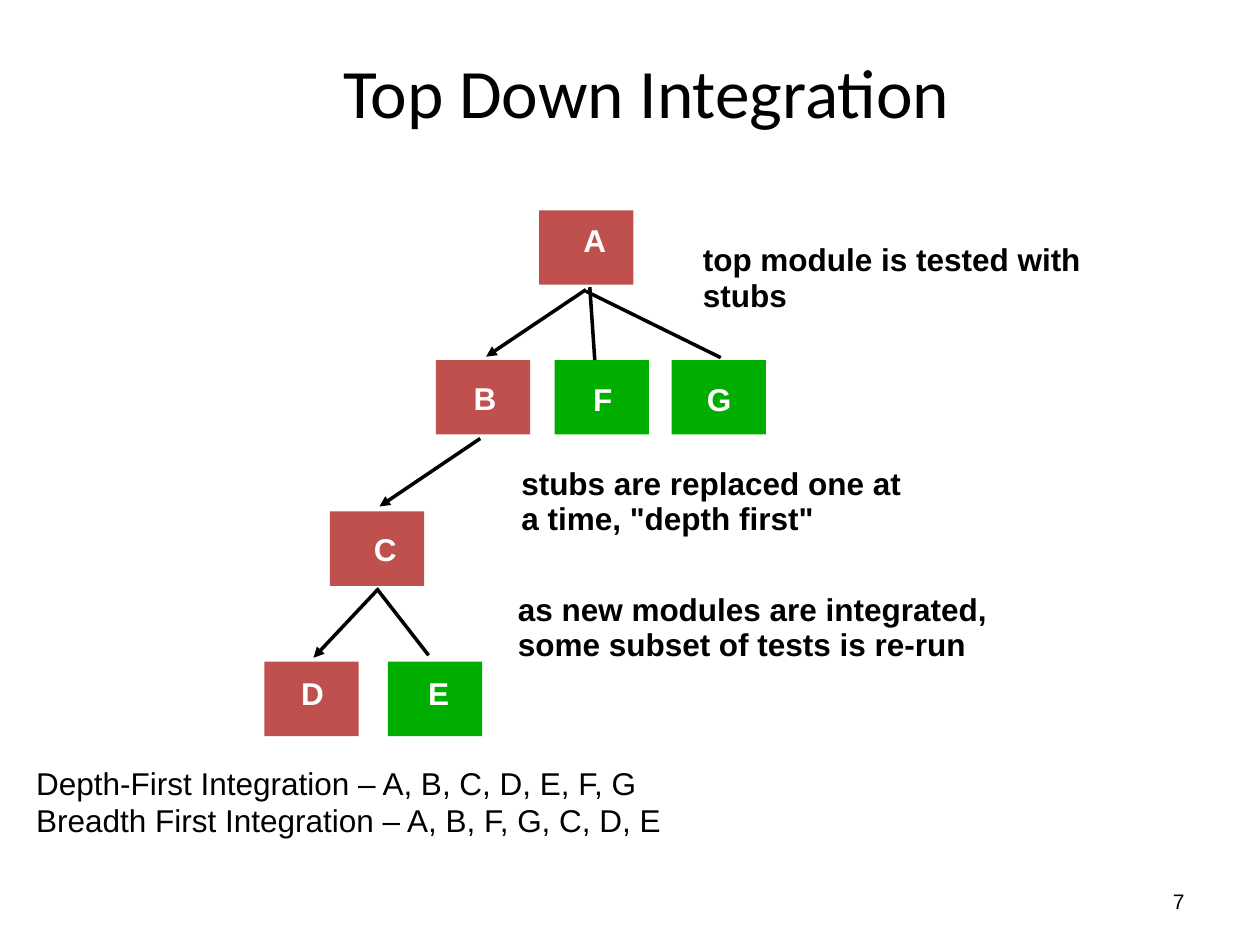
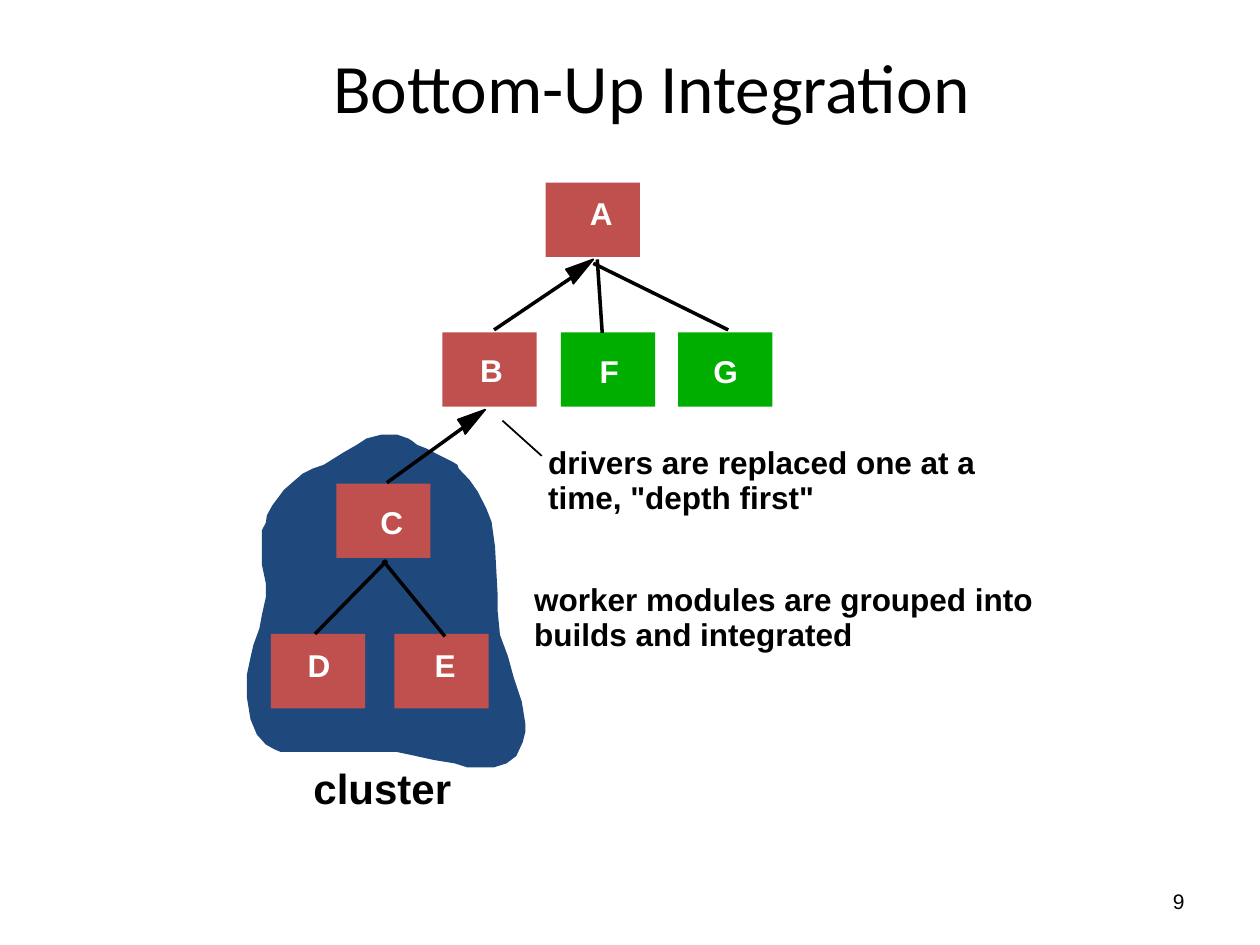
from lxml import etree
from pptx import Presentation
from pptx.dml.color import RGBColor
from pptx.enum.shapes import MSO_CONNECTOR, MSO_SHAPE
from pptx.enum.text import MSO_ANCHOR, PP_ALIGN
from pptx.oxml.ns import qn
from pptx.util import Cm, Pt

BLACK = RGBColor(0x00, 0x00, 0x00)
WHITE = RGBColor(0xFF, 0xFF, 0xFF)
RED = RGBColor(0xC0, 0x50, 0x4D)
GREEN = RGBColor(0x00, 0xAE, 0x00)
NAVY = RGBColor(0x1F, 0x49, 0x7D)

# Text formats
TITLE = {"name": "Calibri", "size": Pt(39.6), "bold": False}
PLAIN = {"name": "Arial", "size": Pt(18), "bold": False}
NOTE = {**PLAIN, "bold": True}
CAPTION = {**NOTE, "size": Pt(24)}
NUMBER = {**PLAIN, "size": Pt(12)}

# Module tree: left and top of the box, left and top of its letter
MODULES = {
    "A": (10.87, 4.24, 11.51, 4.34),
    "B": (8.79, 7.26, 9.3, 7.52),
    "C": (6.65, 10.31, 7.29, 10.57),
    "D": (5.33, 13.34, 5.82, 13.46),
    "E": (7.82, 13.34, 8.38, 13.46),
    "F": (11.18, 7.26, 11.71, 7.54),
    "G": (13.54, 7.26, 14.0, 7.54),
}
MODULE_WIDTH, MODULE_HEIGHT = 1.9, 1.5
NOTE_PITCH = 0.71

# Outline of the cluster around C, D and E
CLUSTER = [
    (9.22, 9.37), (9.14, 9.32), (8.84, 9.17), (8.59, 9.04), (8.41, 8.97),
    (8.31, 8.89), (8.23, 8.84), (8.0, 8.76), (7.7, 8.76), (7.39, 8.84),
    (7.19, 8.97), (6.93, 9.12), (6.53, 9.37), (6.3, 9.45), (6.1, 9.55),
    (5.89, 9.73), (5.72, 9.88), (5.61, 10.03), (5.49, 10.19), (5.38, 10.39),
    (5.36, 10.54), (5.28, 10.69), (5.28, 11.38), (5.36, 11.76), (5.36, 12.04),
    (5.28, 12.4), (5.23, 12.67), (5.11, 13.0), (5.05, 13.26), (4.98, 13.59),
    (4.98, 14.07), (5.05, 14.5), (5.18, 14.81), (5.36, 15.01), (5.54, 15.11),
    (5.66, 15.16), (8.0, 15.16), (8.38, 15.24), (8.74, 15.32), (9.17, 15.39),
    (9.42, 15.47), (9.96, 15.47), (10.21, 15.39), (10.41, 15.24), (10.54, 14.96),
    (10.59, 14.76), (10.59, 14.58), (10.52, 14.15), (10.36, 13.67), (10.24, 13.23),
    (10.08, 12.8), (10.03, 12.29), (10.03, 11.94), (9.98, 11.02), (9.91, 10.52),
    (9.8, 10.24), (9.63, 9.91), (9.47, 9.68), (9.25, 9.45),
]
# Large arrowheads, measured from the tip
HEAD = [(0, 0), (-0.4, 0.49), (-0.46, 0.33), (-0.55, 0.2)]
HEAD_TIPS = [(11.96, 5.23), (9.78, 8.26)]
HEADS = [[(tip_x + x, tip_y + y) for x, y in HEAD] for tip_x, tip_y in HEAD_TIPS]

# What differs between the two slides
SLIDES = [
    {
        "number": "7",
        "title": ("Top Down Integration", (3.99, 1.42, 18.08, 0.84)),
        "shift": (0, 0),
        "green": "EFG",
        "outlines": [],
        "lines": [  # start, end, width, arrow at the end
            ((7.59, 11.86), (8.64, 13.21), 2, False),
            ((11.89, 5.79), (11.99, 7.26), 2, False),
            ((11.81, 5.87), (14.53, 7.21), 2, False),
            ((11.81, 5.84), (9.8, 7.19), 2, True),
            ((9.68, 8.84), (7.65, 10.21), 2, True),
            ((7.59, 11.91), (6.32, 13.26), 2, True),
        ],
        "notes": [  # left, top, lines with their widths
            (13.92, 4.72, [("top module is tested with", 8.38), ("stubs", 2.21)]),
            (10.26, 9.22, [("stubs are replaced one at", 8.41),
                           ('a time, "depth first"', 6.45)]),
            (10.19, 11.76, [("as new modules are integrated,", 10.24),
                            ("some subset of tests is re-run", 9.63)]),
        ],
        "footer": (["Depth-First Integration – A, B, C, D, E, F, G",
                    "Breadth First Integration – A, B, F, G, C, D, E"],
                   (0.48, 15.27, 13.23, 1.8), PLAIN),
    },
    {
        "number": "9",
        "title": ("Bottom-Up Integration", (3.56, 1.32, 19.15, 0.84)),
        "shift": (0.13, -0.56),
        "green": "FG",
        "outlines": [(CLUSTER, NAVY)] + [(head, BLACK) for head in HEADS],
        "lines": [
            ((11.53, 5.59), (9.96, 6.65), 2, False),
            ((9.35, 8.61), (7.8, 9.73), 2, False),
            ((7.8, 11.3), (6.35, 12.78), 2, False),
            ((7.72, 11.3), (8.97, 12.83), 2, False),
            ((12.04, 5.23), (12.14, 6.71), 2, False),
            ((11.96, 5.31), (14.68, 6.65), 2, False),
            ((10.13, 8.48), (10.92, 9.19), 1, False),
        ],
        "notes": [
            (10.8, 8.81, [("drivers are replaced one at a", 9.37),
                          ('time, "depth first"', 5.92)]),
            (10.52, 11.56, [("worker modules are grouped into", 10.85),
                            ("builds and integrated", 6.99)]),
        ],
        "footer": (["cluster"], (6.07, 15.24, 3.3, 1.27), CAPTION),
    },
]


def write(page, lines, place, style, color=BLACK,
          align=PP_ALIGN.LEFT, anchor=MSO_ANCHOR.TOP):
    box = page.shapes.add_textbox(*[Cm(length) for length in place])
    frame = box.text_frame
    frame.word_wrap = False
    frame.vertical_anchor = anchor
    frame.text = "\n".join(lines)
    for para in frame.paragraphs:
        para.alignment = align
        for span in para.runs:
            span.font.color.rgb = color
            for name, value in style.items():
                setattr(span.font, name, value)


def draw_line(page, start, end, width, arrow):
    ends = [Cm(length) for length in start + end]
    line = page.shapes.add_connector(MSO_CONNECTOR.STRAIGHT, *ends)
    line.line.color.rgb = BLACK
    line.line.width = Pt(width)
    if arrow:
        tail = etree.SubElement(line.line._get_or_add_ln(), qn("a:tailEnd"))
        tail.set("type", "triangle")
    etree.SubElement(line._element.spPr, qn("a:effectLst"))


deck = Presentation()
deck.slide_width, deck.slide_height = Cm(25.4), Cm(19.05)

for content in SLIDES:
    page = deck.slides.add_slide(deck.slide_layouts[6])

    # Page number and title
    write(page, [content["number"]], (18.21, 17.65, 5.92, 1.02), NUMBER,
          align=PP_ALIGN.RIGHT, anchor=MSO_ANCHOR.MIDDLE)
    title, place = content["title"]
    write(page, [title], place, TITLE,
          align=PP_ALIGN.CENTER, anchor=MSO_ANCHOR.MIDDLE)

    # Cluster and large arrowheads
    for points, color in content["outlines"]:
        corners = [(Cm(x), Cm(y)) for x, y in points]
        builder = page.shapes.build_freeform(*corners[0])
        builder.add_line_segments(corners[1:], close=True)
        outline = builder.convert_to_shape()
        outline.shadow.inherit = False
        outline.fill.solid()
        outline.fill.fore_color.rgb = color
        outline.line.color.rgb = color
        outline.line.width = Pt(1)
        if points is CLUSTER:
            outline.line.fill.background()

    # Modules
    shift_x, shift_y = content["shift"]
    for letter, (left, top, _, _) in MODULES.items():
        module = page.shapes.add_shape(
            MSO_SHAPE.RECTANGLE, Cm(left + shift_x), Cm(top + shift_y),
            Cm(MODULE_WIDTH), Cm(MODULE_HEIGHT))
        module.shadow.inherit = False
        module.fill.solid()
        module.fill.fore_color.rgb = GREEN if letter in content["green"] else RED
        module.line.fill.background()

    # Links between modules
    for line in content["lines"]:
        draw_line(page, *line)

    # Notes, one box for each line
    for left, top, lines in content["notes"]:
        for row, (text, width) in enumerate(lines):
            write(page, [text], (left, top + row * NOTE_PITCH, width, 1.02), NOTE)

    # Module letters
    for letter, (_, _, left, top) in MODULES.items():
        write(page, [letter], (left + shift_x, top + shift_y, 0.97, 1.02), NOTE, WHITE)

    # Text below the tree
    write(page, *content["footer"])

deck.save("out.pptx")
